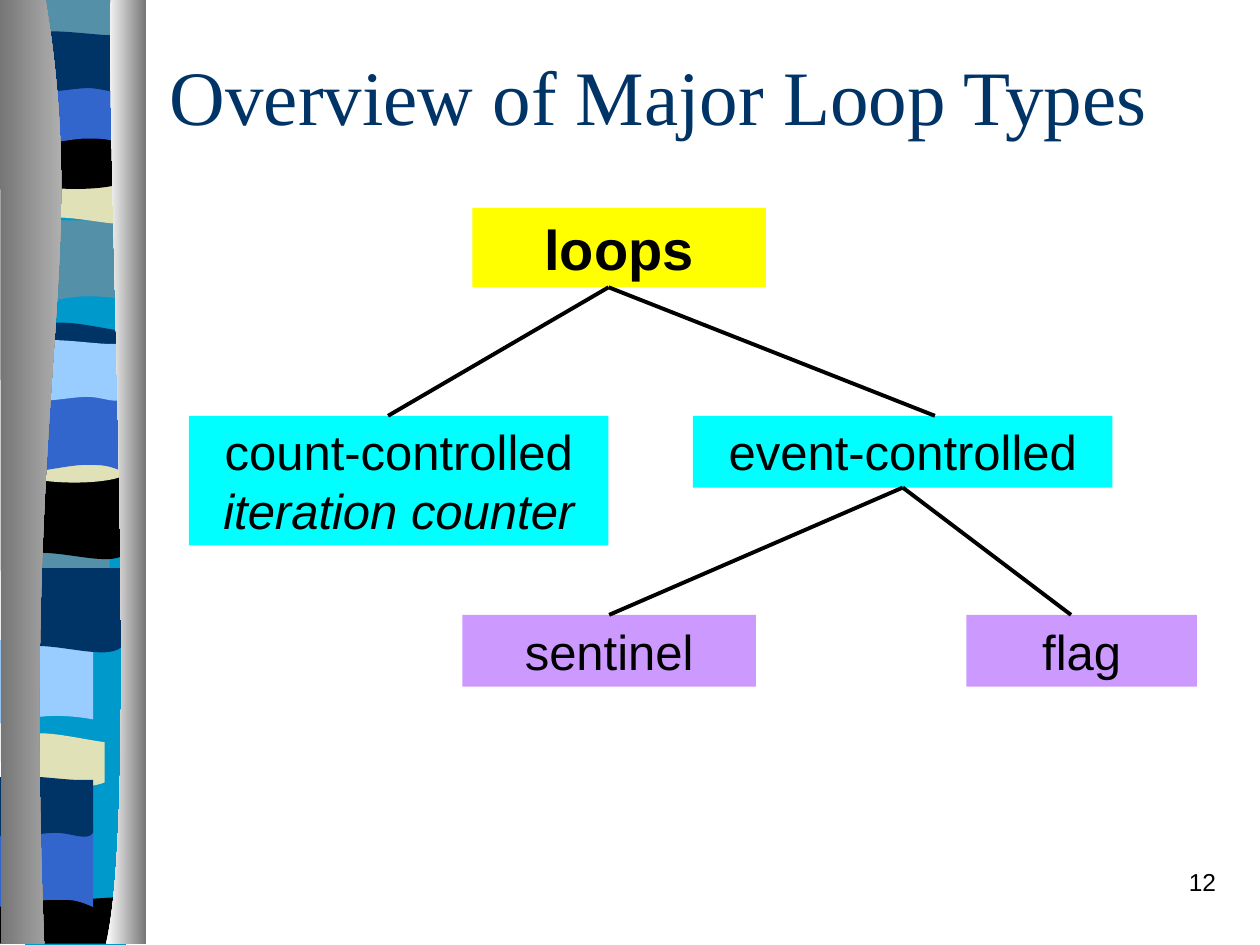
from pptx import Presentation
from pptx.dml.color import RGBColor
from pptx.enum import shapes, text
from pptx.oxml.ns import qn
from pptx.util import Inches, Pt

NAVY, BLUE, SKY, TEAL = "003366", "3366CC", "99CCFF", "5490A8"
SAND, BLACK, CYAN, LILAC = "E1E1B7", "000000", "00FFFF", "CC99FF"
TOP, BOTTOM = 0, 2

# Outlines start at their first point; pairs are lines, sextuples Bézier curves.
# Band outlines are relative to the band's top right corner.
TAIL = [(0, 0), (0, .63), (-.56, .53, -.67, .74, -.8, .63), (-.8, 0)]
RIPPLE = [(0, 0), (0, .63), (-.13, .74, -.56, .57, -.8, .63), (-.8, 0)]
CREST = [(0, 0), (0, .32), (-.13, .38, -.67, .38, -.8, .32), (-.8, 0),
         (-.75, -.07, -.63, -.07, -.5, -.07), (-.36, -.07, -.1, -.01, 0, 0)]
BOWL = [(0, 0), (0, .43), (-.13, .51, -.67, .51, -.8, .43), (-.8, 0),
        (-.31, .07, -.17, 0, 0, 0)]
ARCH = [(0, 0), (0, .63), (-.13, .57, -.18, .57, -.31, .57),
        (-.44, .57, -.68, .63, -.8, .63), (-.8, 0)]
FLAG = [(0, 0), (0, .42), (-.05, .49, -.17, .42, -.3, .42),
        (-.44, .42, -.72, .49, -.8, .42), (-.8, 0),
        (-.69, -.07, -.26, 0, -.13, 0), (.01, 0, -.02, 0, 0, 0)]
FLOOR = [(0, 0), (0, .37), (-1.07, .37), (-1.09, 0), (-.42, .05, -.23, 0, 0, 0)]
BACKDROP = [(0, 0), (0, 7.5), (-.8, 7.5), (-.8, 0)]

BANDS = [
    (BACKDROP, 1, 0, "0099CC"),
    (TAIL, 1, 1.75, TEAL), (RIPPLE, 1.13, 1.11, SAND), (CREST, 1.13, -.02, TEAL),
    (BOWL, 1, 1.01, BLACK), (ARCH, 1, .53, BLUE), (FLAG, 1, .28, NAVY),
    (TAIL, .87, 3.96, TEAL), (RIPPLE, .99, 3.77, BLACK), (CREST, .99, 2.63, NAVY),
    (BOWL, .99, 3.34, SAND), (ARCH, .99, 3.12, BLUE), (FLAG, .99, 2.73, SKY),
    (TAIL, .74, 5.08, SKY), (RIPPLE, .96, 4.51, NAVY), (CREST, .83, 5.89, SAND),
    (FLOOR, 1, 7.12, BLACK), (ARCH, .74, 6.57, BLUE), (FLAG, .74, 6.19, NAVY),
]
LEFT_COLUMN = [(.36, -.01), (.72, 2.16, .17, 2.96, .35, 7.49), (.01, 7.49), (0, -.01)]
RIGHT_COLUMN = [(.88, -.01), (.84, 1.25, 1.11, 6.46, .84, 7.49), (1.16, 7.49), (1.16, 0)]


def color(value):
    return RGBColor.from_string(value)


def bend_segments(shape, outline):
    """Join each curve's three straight segments into one Bézier segment."""
    path = next(shape._element.iter(qn("a:path")))
    lines = iter(path.findall(qn("a:lnTo")))
    for segment in outline[1:]:
        first = next(lines)
        if len(segment) == 6:
            curve = path.makeelement(qn("a:cubicBezTo"), {})
            first.addprevious(curve)
            for line in (first, next(lines), next(lines)):
                curve.append(line[0])
                path.remove(line)


def add_outline(slide, outline, right=0, top=0):
    points = [(Inches(right + segment[i]), Inches(top + segment[i + 1]))
              for segment in outline for i in range(0, len(segment), 2)]
    builder = slide.shapes.build_freeform(*points[0])
    builder.add_line_segments(points[1:], close=True)
    shape = builder.convert_to_shape()
    bend_segments(shape, outline)
    shape.shadow.inherit = False
    shape.line.fill.background()
    return shape


def add_band(slide, outline, right, top, fill):
    shape = add_outline(slide, outline, right, top)
    shape.fill.solid()
    shape.fill.fore_color.rgb = color(fill)


def add_column(slide, outline, left_color, right_color):
    fill = add_outline(slide, outline).fill
    fill.gradient()
    fill.gradient_angle = 0
    for stop, value in zip(fill.gradient_stops, (left_color, right_color)):
        stop.color.rgb = color(value)


def add_run(paragraph, words, size, font="Arial", ink=BLACK, bold=False, italic=False):
    run = paragraph.add_run()
    run.text = words
    run.font.name, run.font.size = font, Pt(size)
    run.font.bold, run.font.italic = bold, italic
    run.font.color.rgb = color(ink)


def add_label(slide, left, top, width, height, words, size, align, anchor, **style):
    box = slide.shapes.add_textbox(*map(Inches, (left, top, width, height)))
    frame = box.text_frame
    frame.word_wrap = True
    frame.vertical_anchor = anchor
    frame.paragraphs[0].alignment = align
    add_run(frame.paragraphs[0], words, size, **style)


def add_node(slide, left, top, width, height, fill, words, size=28, bold=False, detail=None):
    """Add a box of the tree, with an optional second line in italics."""
    shape = slide.shapes.add_shape(shapes.MSO_SHAPE.RECTANGLE,
                                   *map(Inches, (left, top, width, height)))
    shape.shadow.inherit = False
    shape.fill.solid()
    shape.fill.fore_color.rgb = color(fill)
    shape.line.fill.background()
    frame = shape.text_frame
    frame.word_wrap = True
    frame.auto_size = text.MSO_AUTO_SIZE.SHAPE_TO_FIT_TEXT
    frame.vertical_anchor = text.MSO_ANCHOR.TOP
    paragraph = frame.paragraphs[0]
    paragraph.alignment = text.PP_ALIGN.CENTER
    add_run(paragraph, words, size, bold=bold)
    if detail:
        paragraph.add_line_break()
        add_run(paragraph, detail, size, italic=True)
    return shape


def add_branch(slide, start, end, parent=None, child=None):
    line = slide.shapes.add_connector(shapes.MSO_CONNECTOR.STRAIGHT,
                                      *map(Inches, (*start, *end)))
    line.line.color.rgb = color(BLACK)
    line.line.width = Pt(2.25)
    properties = line._element.spPr
    properties.append(properties.makeelement(qn("a:effectLst"), {}))
    if parent is not None:
        line.begin_connect(parent, BOTTOM)
    if child is not None:
        line.end_connect(child, TOP)


def add_tree(slide):
    add_node(slide, 3.75, 1.65, 2.33, .63, "FFFF00", "loops", size=32, bold=True)
    add_node(slide, 1.5, 3.3, 3.33, 1.03, CYAN, "count-controlled", detail="iteration counter")
    event = add_node(slide, 5.5, 3.3, 3.33, .57, CYAN, "event-controlled")
    sentinel = add_node(slide, 3.67, 4.88, 2.33, .57, LILAC, "sentinel")
    add_node(slide, 7.67, 4.88, 1.83, .57, LILAC, "flag")
    add_branch(slide, (4.83, 2.28), (3.08, 3.3))
    add_branch(slide, (4.83, 2.28), (7.42, 3.3))
    add_branch(slide, (7.17, 3.87), (4.83, 4.88), event, sentinel)
    add_branch(slide, (7.17, 3.87), (8.5, 4.88), event)


def main():
    presentation = Presentation()
    presentation.slide_width, presentation.slide_height = Inches(10), Inches(7.5)
    slide = presentation.slides.add_slide(presentation.slide_layouts[6])
    for band in BANDS:
        add_band(slide, *band)
    add_column(slide, LEFT_COLUMN, "767676", "CCCCCC")
    add_column(slide, RIGHT_COLUMN, "FFFFFF", "767676")
    add_label(slide, 7.67, 6.83, 2.08, .5, "12", 14,
              text.PP_ALIGN.RIGHT, text.MSO_ANCHOR.TOP)
    add_label(slide, 1.25, .25, 8.5, 1, "Overview of Major Loop Types", 44,
              text.PP_ALIGN.LEFT, text.MSO_ANCHOR.MIDDLE, font="Times New Roman", ink=NAVY)
    add_tree(slide)
    presentation.save("out.pptx")


if __name__ == "__main__":
    main()
